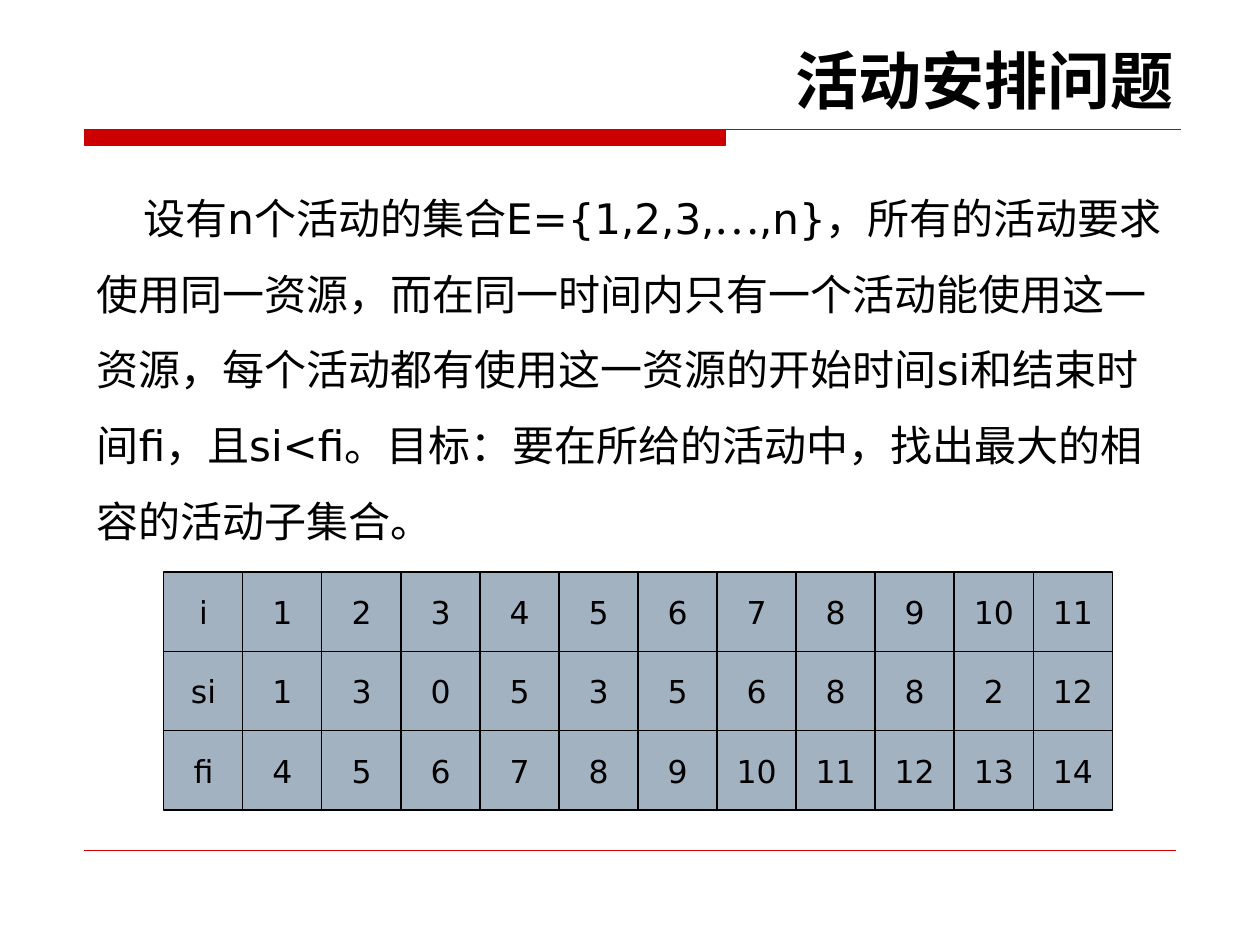
from dataclasses import dataclass

from lxml import etree
from pptx import Presentation
from pptx.dml.color import RGBColor
from pptx.enum.shapes import MSO_CONNECTOR, MSO_SHAPE
from pptx.enum.text import MSO_ANCHOR, PP_ALIGN
from pptx.oxml.ns import qn
from pptx.util import Inches, Pt

RECTANGLE = MSO_SHAPE.RECTANGLE
STRAIGHT = MSO_CONNECTOR.STRAIGHT
LEFT, CENTER, RIGHT = PP_ALIGN.LEFT, PP_ALIGN.CENTER, PP_ALIGN.RIGHT
MIDDLE = MSO_ANCHOR.MIDDLE


@dataclass(frozen=True)
class Theme:
    accent: RGBColor = RGBColor(0xCC, 0x00, 0x00)
    ink: RGBColor = RGBColor(0x00, 0x00, 0x00)
    cell: RGBColor = RGBColor(0xA3, 0xB2, 0xC1)
    font: str = "DejaVu Sans"
    asian_font: str = "Noto Sans CJK SC"
    title_size: int = 36
    body_size: int = 24
    cell_size: int = 18
    rule_width: float = 0.75
    footer_width: float = 0.25


THEME = Theme()

TITLE = "活动安排问题"
BODY = [
    ("设有n个活动的集合E={1,2,3,", THEME.font),
    ("…", THEME.asian_font),
    (",n}，所有的活动要求使用同一资源，而在同一时间内只有一个活动能使用这一资源，"
     "每个活动都有使用这一资源的开始时间si和结束时间fi，且si<fi。"
     "目标：要在所给的活动中，找出最大的相容的活动子集合。", THEME.font),
]
ACTIVITIES = [
    ["i", *range(1, 12)],
    ["si", 1, 3, 0, 5, 3, 5, 6, 8, 8, 2, 12],
    ["fi", 4, 5, 6, 7, 8, 9, 10, 11, 12, 13, 14],
]


def add_span(para, text, size, font=THEME.font, bold=False):
    span = para.add_run()
    span.text = text
    span.font.size = Pt(size)
    span.font.name = font
    span.font.bold = bold
    span.font.color.rgb = THEME.ink
    asian = etree.SubElement(span.font._element, qn("a:ea"))
    asian.set("typeface", THEME.asian_font)


def paint(shape, fill, line):
    shape.shadow.inherit = False
    shape.fill.solid()
    shape.fill.fore_color.rgb = fill
    shape.line.color.rgb = line
    shape.line.width = Pt(THEME.rule_width)


def add_text_box(page, left, top, width, height, align):
    """Return the first paragraph of a new wrapping text box."""
    box = page.shapes.add_textbox(
        Inches(left), Inches(top), Inches(width), Inches(height))
    box.text_frame.word_wrap = True
    para = box.text_frame.paragraphs[0]
    para.alignment = align
    return para


def add_title(page, left, top, width, height):
    para = add_text_box(page, left, top, width, height, RIGHT)
    add_span(para, TITLE, THEME.title_size, bold=True)


def add_title_rule(page, left, top, width, height):
    """Draw a thin rule with a thick bar below its left part."""
    bar_right, bottom = left + 5.09, top + height
    outline = page.shapes.build_freeform(
        Inches(left), Inches(top), scale=1.0)
    outline.add_line_segments(
        [(Inches(x), Inches(y)) for x, y in
         ((bar_right, top), (bar_right, bottom), (left, bottom))], close=True)
    outline.move_to(Inches(left), Inches(top))
    outline.add_line_segments([(Inches(left + width), Inches(top))], close=False)
    paint(outline.convert_to_shape(), THEME.accent, THEME.accent)


def add_footer_rule(page, left, top, width):
    line = page.shapes.add_connector(
        STRAIGHT, Inches(left), Inches(top), Inches(left + width), Inches(top))
    line.line.color.rgb = THEME.accent
    line.line.width = Pt(THEME.footer_width)
    etree.SubElement(line._element.spPr, qn("a:effectLst"))


def add_body(page, left, top, width, height):
    para = add_text_box(page, left, top, width, height, LEFT)
    para.line_spacing = 1.5
    properties = para._p.get_or_add_pPr()
    properties.set("marL", "0")
    properties.set("indent", str(Inches(0.37)))
    for text, font in BODY:
        add_span(para, text, THEME.body_size, font)


def add_activity_cell(group, left, top, side, value):
    cell = group.shapes.add_shape(
        RECTANGLE, Inches(left), Inches(top), Inches(side), Inches(side))
    paint(cell, THEME.cell, THEME.ink)
    frame = cell.text_frame
    frame.word_wrap = False
    frame.vertical_anchor = MIDDLE
    para = frame.paragraphs[0]
    para.alignment = CENTER
    add_span(para, str(value), THEME.cell_size)


def add_activity_grid(page, left, top, width, height):
    """Lay square cells edge to edge, spread evenly over the box."""
    group = page.shapes.add_group_shape()
    side = height / len(ACTIVITIES)
    step = (width - side) / (len(ACTIVITIES[0]) - 1)
    for column, values in enumerate(zip(*ACTIVITIES)):
        for row, value in enumerate(values):
            add_activity_cell(
                group, left + column * step, top + row * side, side, value)


def main():
    deck = Presentation()
    deck.slide_width, deck.slide_height = Inches(10), Inches(7.5)
    page = deck.slides.add_slide(deck.slide_layouts[6])
    add_title_rule(page, 0.67, 1.03, 8.7, 0.12)
    add_footer_rule(page, 0.67, 6.75, 8.66)
    add_title(page, 0.51, 0.28, 8.9, 0.7)
    add_body(page, 0.67, 1.28, 8.74, 3.1)
    add_activity_grid(page, 1.3, 4.54, 7.53, 1.89)
    deck.save("out.pptx")


if __name__ == "__main__":
    main()
